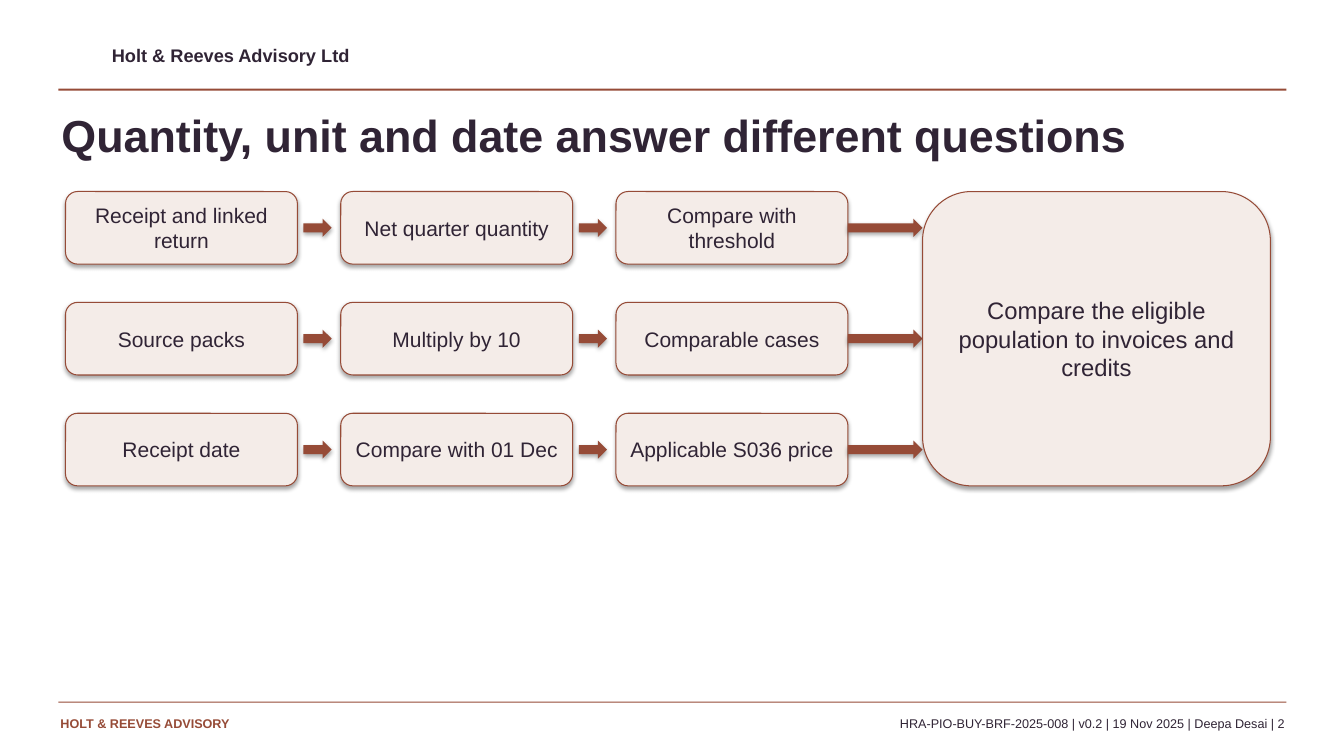
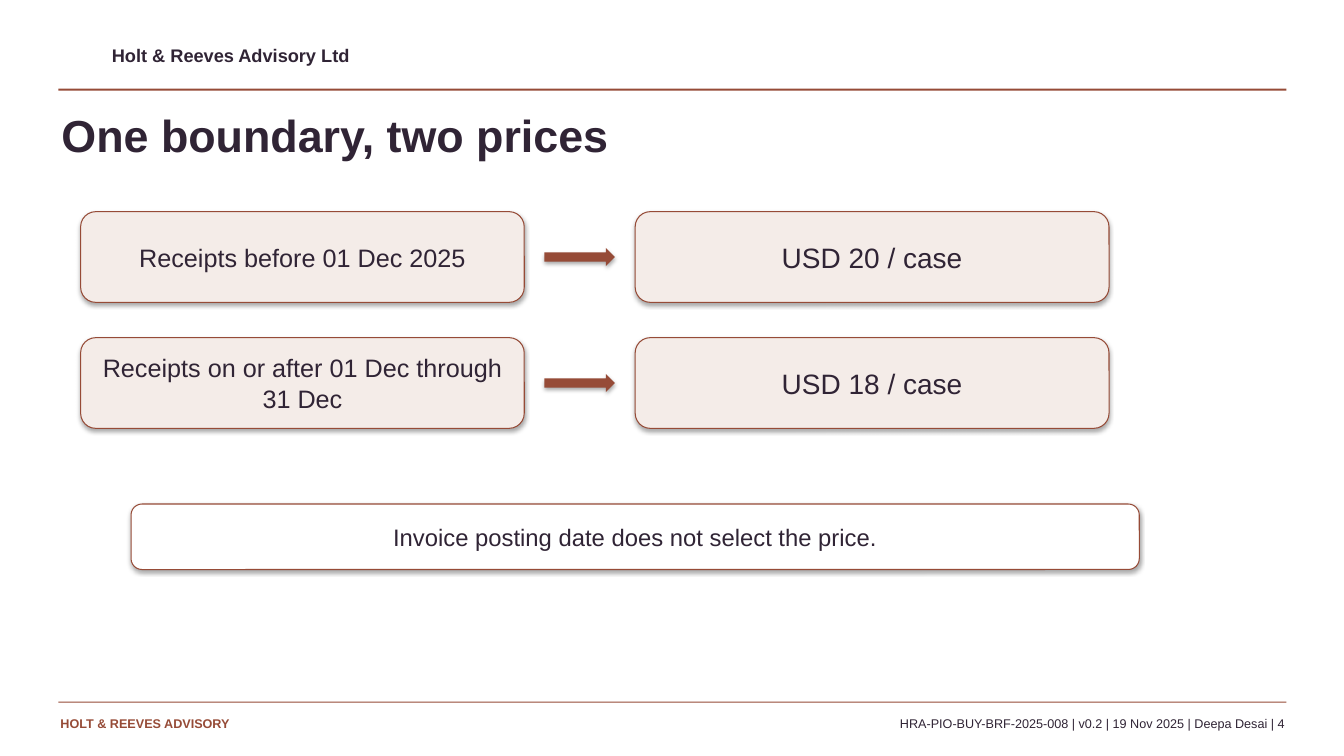
from pptx import Presentation
from pptx.dml.color import RGBColor
from pptx.enum.shapes import MSO_SHAPE
from pptx.enum.text import MSO_ANCHOR, MSO_AUTO_SIZE, PP_ALIGN
from pptx.util import Inches, Pt

RUST = RGBColor(0x96, 0x4B, 0x37)
INK = RGBColor(0x30, 0x24, 0x35)
SAND = RGBColor(0xF4, 0xEC, 0xE8)
WHITE = RGBColor(0xFF, 0xFF, 0xFF)

FIRM = "Holt & Reeves Advisory Ltd"
MARK = "HOLT & REEVES ADVISORY"
STAMP = "HRA-PIO-BUY-BRF-2025-008 | v0.2 | 19 Nov 2025 | Deepa Desai | {}"

FLOWS = {
    "page": 2,
    "title": "Quantity, unit and date answer different questions",
    "rows": [
        ("Receipt and linked return", "Net quarter quantity", "Compare with threshold"),
        ("Source packs", "Multiply by 10", "Comparable cases"),
        ("Receipt date", "Compare with 01 Dec", "Applicable S036 price"),
    ],
    "goal": "Compare the eligible population to invoices and credits",
}
PRICES = {
    "page": 4,
    "title": "One boundary, two prices",
    "rows": [
        ("Receipts before 01 Dec 2025", "USD 20 / case"),
        ("Receipts on or after 01 Dec through 31 Dec", "USD 18 / case"),
    ],
    "note": "Invoice posting date does not select the price.",
}

EDGE, SPAN = 0.58, 12.18
THICK = 0.18
FLUSH = dict.fromkeys(("margin_left", "margin_right", "margin_top", "margin_bottom"), 0)


def assign(item, style):
    for key, value in style.items():
        setattr(item, key, value)


def write(frame, text, size, color=INK, bold=False, align=PP_ALIGN.LEFT):
    frame.text = text
    para = frame.paragraphs[0]
    para.alignment = align
    assign(para.font, {"name": "Arial", "size": Pt(size), "bold": bold})
    para.font.color.rgb = color


def label(slide, box, text, size, **style):
    shape = slide.shapes.add_textbox(*map(Inches, box))
    assign(shape.text_frame, {**FLUSH, "word_wrap": True})
    write(shape.text_frame, text, size, **style)
    return shape


def block(slide, kind, box, fill=RUST):
    shape = slide.shapes.add_shape(kind, *map(Inches, box))
    shape.fill.solid()
    shape.fill.fore_color.rgb = fill
    shape.line.fill.background()
    return shape


def rule(slide, top, high):
    shape = block(slide, MSO_SHAPE.RECTANGLE, (EDGE, top, SPAN, high))
    shape.shadow.inherit = False
    return shape


def card(slide, box, text, size, fill=SAND):
    """Rounded box that keeps the theme's soft shadow."""
    shape = block(slide, MSO_SHAPE.ROUNDED_RECTANGLE, box, fill)
    shape.line.color.rgb = RUST
    shape.line.width = Pt(0.75)
    assign(shape.text_frame, {"word_wrap": True, "vertical_anchor": MSO_ANCHOR.MIDDLE})
    write(shape.text_frame, text, size, align=PP_ALIGN.CENTER)


def arrow(slide, left, middle, width):
    block(slide, MSO_SHAPE.RIGHT_ARROW, (left, middle - THICK / 2, width, THICK))


def brand(layout, slide):
    """Build the shared bands on a slide, then move them to its layout."""
    for holder in list(layout.placeholders)[1:]:
        holder.element.getparent().remove(holder.element)
    title = layout.placeholders[0]
    assign(title, dict(zip(("left", "top", "width", "height"),
                           map(Inches, (0.61, 1.07, 12, 0.78)))))
    assign(title.text_frame, {**FLUSH, "vertical_anchor": MSO_ANCHOR.TOP,
                              "auto_size": MSO_AUTO_SIZE.NONE})
    parts = [
        label(slide, (1.11, 0.44, 6, 0.27), FIRM, 13, bold=True),
        rule(slide, 0.88, 0.02),
        rule(slide, 6.96, 0.01),
        label(slide, (0.6, 7.1, 3.4, 0.25), MARK, 9, color=RUST, bold=True),
    ]
    for part in parts:
        layout.shapes.element.append(part.element)


def start(slide, data):
    write(slide.shapes.title.text_frame, data["title"], 32, bold=True)
    label(slide, (4.12, 7.1, 8.62, 0.2), STAMP.format(data["page"]), 9,
          align=PP_ALIGN.RIGHT)


def flows(slide):
    left, top, wide, high = 0.65, 1.9, 2.3, 0.72
    step, drop, goal = 2.73, 1.1, 9.15
    for row, texts in enumerate(FLOWS["rows"]):
        y = top + row * drop
        for col, text in enumerate(texts):
            x = left + col * step
            card(slide, (x, y, wide, high), text, 15)
            end = x + wide
            if col < len(texts) - 1:
                arrow(slide, end + 0.06, y + high / 2, 0.28)
            else:
                arrow(slide, end, y + high / 2, goal - end)
    depth = drop * (len(FLOWS["rows"]) - 1) + high
    card(slide, (goal, top, 3.45, depth), FLOWS["goal"], 17)


def prices(slide):
    top, high, drop = 2.1, 0.9, 1.25
    for row, (term, price) in enumerate(PRICES["rows"]):
        y = top + row * drop
        card(slide, (0.8, y, 4.4, high), term, 18)
        arrow(slide, 5.4, y + high / 2, 0.7)
        card(slide, (6.3, y, 4.7, high), price, 20)
    card(slide, (1.3, 5, 10, 0.65), PRICES["note"], 17, WHITE)


def main():
    deck = Presentation()
    assign(deck, {"slide_width": Inches(13.33), "slide_height": Inches(7.5)})
    layout = deck.slide_layouts[5]
    pages = [(FLOWS, flows), (PRICES, prices)]
    slides = [deck.slides.add_slide(layout) for _ in pages]
    brand(layout, slides[0])
    for slide, (data, draw) in zip(slides, pages):
        start(slide, data)
        draw(slide)
    deck.save("out.pptx")


if __name__ == "__main__":
    main()
